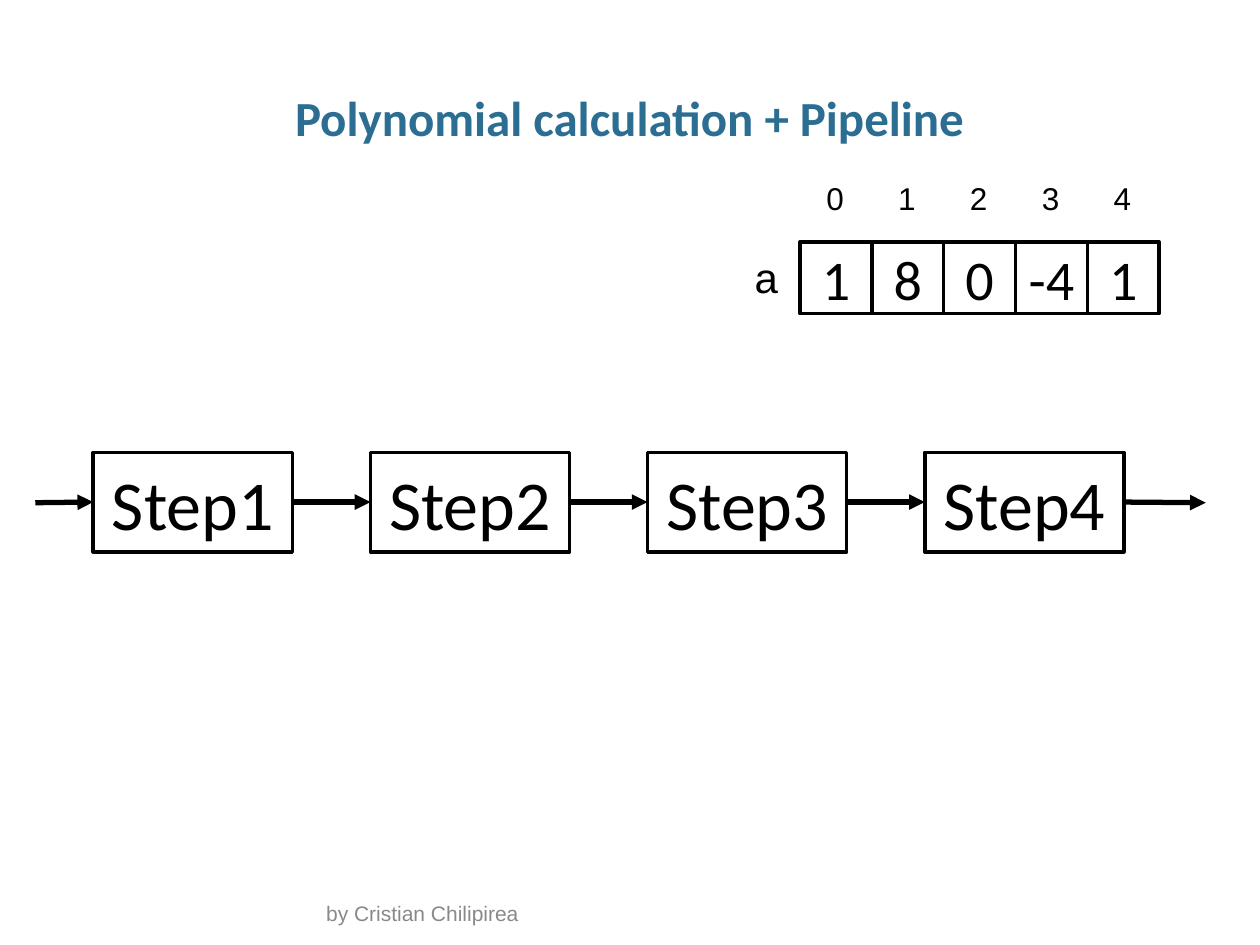
from dataclasses import dataclass

from lxml import etree
from pptx import Presentation
from pptx import util as u
from pptx.dml.color import RGBColor
from pptx.enum import shapes, text
from pptx.oxml.ns import qn

WIDE, HIGH = 10, 7.5
BLACK = "000000"
MID = 3.99


@dataclass
class Row:
    """A row of equal items at a fixed pitch."""
    left: float
    top: float
    wide: float
    high: float
    pitch: float
    size: int
    words: list[str]

    def spots(self):
        """Yield the text and the box of each item."""
        for i, word in enumerate(self.words):
            yield word, (self.left + i * self.pitch, self.top, self.wide, self.high)


STEPS = Row(0.74, 3.59, 1.58, 0.79, 2.2, 40, [f"Step{n}" for n in range(1, 5)])
CELLS = Row(6.35, 1.92, 0.57, 0.57, 0.57, 32, ["1", "8", "0", "-4", "1"])
MARKS = Row(6.46, 1.37, 0.34, 0.4, 0.57, 18, [str(n) for n in range(5)])


def inch(box):
    """Turn a tuple of inches into lengths."""
    return [u.Inches(v) for v in box]


def paint(part, hue: str) -> None:
    """Give a fill or a font colour a hex value."""
    getattr(part, "fore_color", part).rgb = RGBColor.from_string(hue)


def write(shape, words: str, size: int, face: str = "Arial", hue: str = BLACK,
          bold: bool = False, align=None, **frame) -> None:
    """Set the text of a shape and its format."""
    area = shape.text_frame
    for key, val in frame.items():
        setattr(area, key, val)
    para = area.paragraphs[0]
    para.text = words
    para.alignment = align
    looks = {"size": u.Pt(size), "name": face, "bold": bold}
    for key, val in looks.items():
        setattr(para.runs[0].font, key, val)
    paint(para.runs[0].font.color, hue)


def label(slide, box, words: str, size: int, **looks):
    """Add a text box."""
    note = slide.shapes.add_textbox(*inch(box))
    write(note, words, size, **looks)
    return note


def block(slide, box, words: str, size: int):
    """Add an outlined box with centred text."""
    rect = slide.shapes.add_shape(shapes.MSO_SHAPE.RECTANGLE, *inch(box))
    rect.shadow.inherit = False
    rect.fill.background()
    paint(rect.line.fill if rect.line.fill.solid() else rect.line.fill, BLACK)
    rect.line.width = u.Pt(2)
    write(rect, words, size, "Calibri", align=text.PP_ALIGN.CENTER, word_wrap=False,
          vertical_anchor=text.MSO_ANCHOR.MIDDLE)
    return rect


def arrow(slide, start: float, stop: float, tail=None, head=None) -> None:
    """Add a level arrow and join it to the boxes at its ends."""
    line = slide.shapes.add_connector(
        shapes.MSO_CONNECTOR.STRAIGHT, *inch((start, MID, stop, MID)))
    line.line.width = u.Pt(3)
    line.line.fill.solid()
    paint(line.line.fill, BLACK)
    props = line._element.spPr
    etree.SubElement(props.find(qn("a:ln")), qn("a:tailEnd"), type="triangle")
    etree.SubElement(props, qn("a:effectLst"))
    if tail is not None:
        line.begin_connect(tail, 3)
    if head is not None:
        line.end_connect(head, 1)


def main() -> None:
    """Build the slide and save it."""
    deck = Presentation()
    deck.slide_width, deck.slide_height = inch((WIDE, HIGH))
    slide = deck.slides.add_slide(deck.slide_layouts[5])

    title = slide.shapes.title
    for key, val in zip(("left", "top", "width", "height"), inch((0.34, 0.68, 9.31, 0.5))):
        setattr(title, key, val)
    write(title, "Polynomial calculation + Pipeline", 28, "Calibri", "2C6D92", True,
          text.PP_ALIGN.CENTER, margin_left=0, margin_right=0,
          vertical_anchor=text.MSO_ANCHOR.TOP, auto_size=text.MSO_AUTO_SIZE.NONE)
    title.text_frame.paragraphs[0].line_spacing = 0.95

    label(slide, (2.49, 7.16, 5.02, 0.24), "by Cristian Chilipirea", 12, hue="898989",
          word_wrap=True, vertical_anchor=text.MSO_ANCHOR.BOTTOM)

    boxes = [block(slide, box, word, STEPS.size) for word, box in STEPS.spots()]
    ends = [None, *boxes, None]
    for tail, head in zip(ends, ends[1:]):
        start = (tail.left + tail.width) / u.Inches(1) if tail else 0.28
        stop = head.left / u.Inches(1) if head else 9.57
        arrow(slide, start, stop, tail, head)

    for word, box in CELLS.spots():
        block(slide, box, word, CELLS.size)
    fit = {"word_wrap": False, "auto_size": text.MSO_AUTO_SIZE.SHAPE_TO_FIT_TEXT}
    for word, box in MARKS.spots():
        label(slide, box, word, MARKS.size, **fit)
    label(slide, (5.89, 1.95, 0.39, 0.5), "a", 24, **fit)

    deck.save("out.pptx")


if __name__ == "__main__":
    main()
